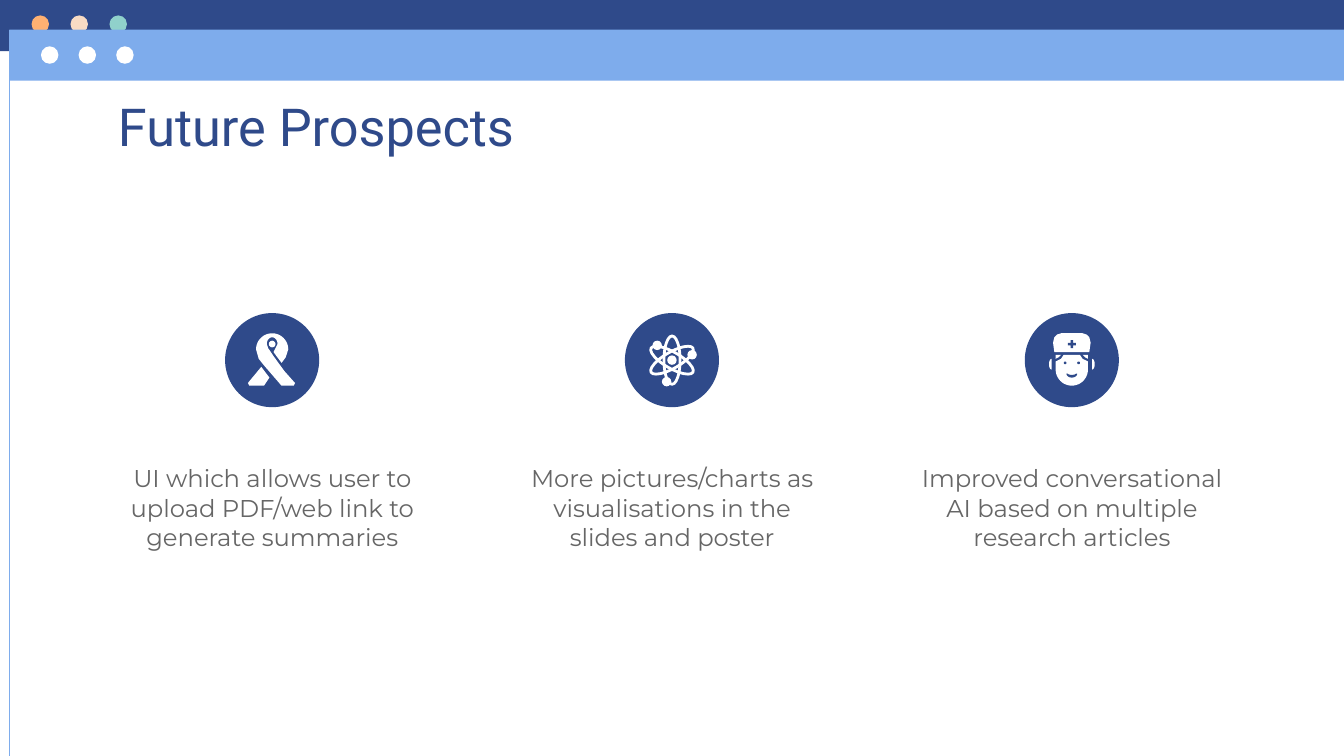
from dataclasses import dataclass
from math import cos, radians, sin

from lxml.etree import SubElement
from pptx import Presentation
from pptx.dml.color import RGBColor
from pptx.enum.shapes import MSO_CONNECTOR, MSO_SHAPE
from pptx.enum.text import MSO_ANCHOR, PP_ALIGN
from pptx.oxml.ns import qn
from pptx.util import Inches, Pt


@dataclass(frozen=True)
class Theme:
    navy: str = "2F4A8A"
    sky: str = "7EACEC"
    white: str = "FFFFFF"
    grey: str = "666666"
    tab_dots: tuple = ("FFB172", "F8DBC4", "90D1CB")
    title_font: str = "Roboto"
    body_font: str = "Montserrat"
    title_size: int = 28
    body_size: int = 13


THEME = Theme()
WIDTH = 10
HEIGHT = WIDTH * 9 / 16


def paint(sp, color):
    sp.shadow.inherit = False
    sp.fill.solid()
    sp.fill.fore_color.rgb = RGBColor.from_string(color)
    sp.line.fill.background()
    return sp


def add_preset(s, kind, x, y, w, h, color):
    return paint(s.shapes.add_shape(kind, Inches(x), Inches(y), Inches(w), Inches(h)), color)


def add_dot(s, cx, cy, d, color):
    return add_preset(s, MSO_SHAPE.OVAL, cx - d / 2, cy - d / 2, d, d, color)


def add_outline(s, cx, cy, points, color):
    """Fill a closed outline whose points are offsets from (cx, cy)."""
    first, *rest = [(Inches(cx + x), Inches(cy + y)) for x, y in points]
    builder = s.shapes.build_freeform(*first, scale=1.0)
    builder.add_line_segments(rest, close=True)
    return paint(builder.convert_to_shape(), color)


def arc(cx, cy, rx, ry, start, end, steps=24):
    """Points on an ellipse; angles in degrees, clockwise from the right."""
    angles = [radians(start + (end - start) * i / steps) for i in range(steps + 1)]
    return [(cx + rx * cos(a), cy + ry * sin(a)) for a in angles]


def flipped(points):
    return [(-x, y) for x, y in reversed(points)]


def add_text(s, x, y, w, h, text, font, size, color, align=PP_ALIGN.LEFT):
    tf = s.shapes.add_textbox(Inches(x), Inches(y), Inches(w), Inches(h)).text_frame
    tf.word_wrap = True
    tf.vertical_anchor = MSO_ANCHOR.TOP
    tf.margin_left = tf.margin_right = tf.margin_top = tf.margin_bottom = Inches(0.1)
    p = tf.paragraphs[0]
    p.text = text
    p.alignment = align
    p.font.name = font
    p.font.size = Pt(size)
    p.font.color.rgb = RGBColor.from_string(color)


def add_window_bar(s, x, y, h, color, dot_x, dot_step, dot_y, dot_colors):
    add_preset(s, MSO_SHAPE.RECTANGLE, x, y, WIDTH - x, h, color)
    for i, dot_color in enumerate(dot_colors):
        add_dot(s, x + dot_x + i * dot_step, y + dot_y, 0.13, dot_color)


def add_window_frame(s):
    left, top, bar = 0.07, 0.22, 0.38
    add_window_bar(s, 0, 0, bar, THEME.navy, 0.3, 0.29, 0.18, THEME.tab_dots)
    add_window_bar(s, left, top, bar, THEME.sky, 0.3, 0.28, 0.19, [THEME.white] * 3)
    edge = s.shapes.add_connector(MSO_CONNECTOR.STRAIGHT, Inches(left), Inches(top),
                                  Inches(left), Inches(HEIGHT))
    edge.line.color.rgb = RGBColor.from_string(THEME.sky)
    edge.line.width = Pt(0.75)
    SubElement(edge._element.spPr, qn("a:effectLst"))


def draw_ribbon(s, cx, cy):
    band = (arc(0, -0.08, 0.12, 0.12, 180, 360)
            + [(0.1, -0.02), (0.07, 0.02), (0.01, -0.06)]
            + arc(0, -0.12, 0.04, 0.05, 0, -180)
            + [(-0.03, -0.09), (0.01, -0.03), (0.09, 0.08), (0.17, 0.17), (0.16, 0.19),
               (0.07, 0.19), (-0.06, 0.04), (-0.1, -0.01)])
    tail = [(-0.08, 0.05), (-0.02, 0.13), (-0.06, 0.19), (-0.17, 0.19), (-0.18, 0.17)]
    for points in (band, tail):
        add_outline(s, cx, cy, points, THEME.white)
    add_dot(s, cx, cy - 0.12, 0.05, THEME.white)


def draw_atom(s, cx, cy):
    w, h = 0.12, 0.36
    for angle in (0, 60, 120):
        orbit = add_preset(s, MSO_SHAPE.OVAL, cx - w / 2, cy - h / 2, w, h, THEME.white)
        orbit.fill.background()
        orbit.line.color.rgb = RGBColor.from_string(THEME.white)
        orbit.line.width = Pt(1.5)
        orbit.rotation = angle
    for dx, dy in ((0, 0), (-0.11, -0.11), (0.15, -0.04), (-0.04, 0.16)):
        add_dot(s, cx + dx, cy + dy, 0.07, THEME.white)


def draw_nurse(s, cx, cy):
    cap = [(-0.13, -0.06), (-0.14, -0.13), (-0.13, -0.17), (-0.11, -0.19), (-0.08, -0.2)]
    hair = [(-0.12, -0.04), (-0.12, -0.01), (-0.1, -0.02), (-0.08, -0.04)]
    cheek = [(-0.06, -0.04), (-0.08, -0.01), (-0.12, 0.01)]
    ear = arc(-0.15, 0.03, 0.02, 0.04, 90, 270)
    face = cheek + arc(0, 0.07, 0.12, 0.12, 180, 0) + flipped(cheek)
    for points in (cap + flipped(cap), hair, flipped(hair), face, ear, flipped(ear)):
        add_outline(s, cx, cy, points, THEME.white)
    add_preset(s, MSO_SHAPE.MATH_PLUS, cx - 0.04, cy - 0.16, 0.08, 0.08, THEME.navy)
    for dx in (-0.05, 0.05):
        add_dot(s, cx + dx, cy + 0.02, 0.02, THEME.navy)
    smile = arc(0, 0.1, 0.04, 0.03, 180, 0) + arc(0, 0.1, 0.03, 0.01, 0, 180)
    add_outline(s, cx, cy, smile, THEME.navy)


def add_prospect(s, x, y, w, draw_icon, text):
    """One column: an icon on a disc above a centred caption."""
    cx, cy = x + w / 2, y + 0.35
    add_dot(s, cx, cy, 0.7, THEME.navy)
    draw_icon(s, cx, cy)
    add_text(s, x, y + 1.02, w, 0.84, text, THEME.body_font, THEME.body_size,
             THEME.grey, PP_ALIGN.CENTER)


def build_slide(prs):
    s = prs.slides.add_slide(prs.slide_layouts[6])
    add_window_frame(s)
    left, width, column = 0.78, 8.44, 2.49
    add_text(s, left, 0.6, width, 0.51, "Future Prospects", THEME.title_font,
             THEME.title_size, THEME.navy)
    prospects = [
        (draw_ribbon, "UI which allows user to upload PDF/web link to generate summaries"),
        (draw_atom, "More pictures/charts as visualisations in the slides and poster"),
        (draw_nurse, "Improved conversational AI based on multiple research articles"),
    ]
    step = (width - column) / (len(prospects) - 1)
    for i, (draw_icon, text) in enumerate(prospects):
        add_prospect(s, left + i * step, 2.33, column, draw_icon, text)


def main():
    prs = Presentation()
    prs.slide_width, prs.slide_height = Inches(WIDTH), Inches(HEIGHT)
    build_slide(prs)
    prs.save("out.pptx")


if __name__ == "__main__":
    main()
